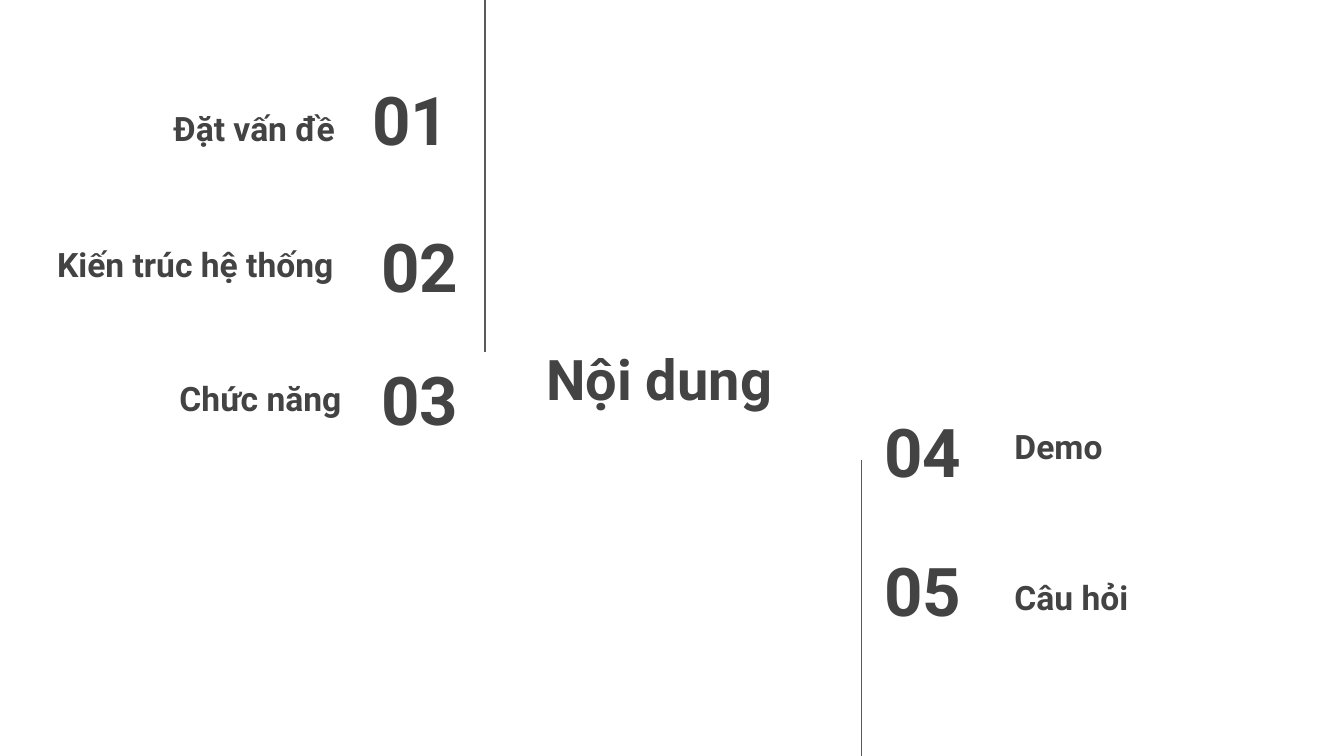
from dataclasses import dataclass

import pptx
import pptx.dml.color
import pptx.enum.shapes
import pptx.enum.text
import pptx.slide
import pptx.util
from lxml import etree
from pptx.oxml.ns import qn

Inches = pptx.util.Inches
Align = pptx.enum.text.PP_ALIGN
Anchor = pptx.enum.text.MSO_ANCHOR

TEXT_COLOR = pptx.dml.color.RGBColor(0x43, 0x43, 0x43)
RULE_COLOR = pptx.dml.color.RGBColor(0x59, 0x59, 0x59)
FONT = "Roboto"
TITLE_SIZE, NUMBER_SIZE, LABEL_SIZE = 30, 36, 18
PAGE_WIDTH = 10
PAGE_HEIGHT = PAGE_WIDTH * 9 / 16
ROW_HEIGHT = 0.63


@dataclass(frozen=True)
class Label:
    text: str
    left: float
    top: float
    width: float
    size: int
    align: Align
    anchor: Anchor = Anchor.MIDDLE
    height: float = ROW_HEIGHT


@dataclass(frozen=True)
class Rule:
    x: float
    top: float
    bottom: float


TITLE = Label("Nội dung", 3.61, 2.3, 2.59, TITLE_SIZE, Align.CENTER, height=1.03)

LEFT_ITEMS = [
    Label("01", 2.23, 0.57, 1.21, NUMBER_SIZE, Align.RIGHT),
    Label("Đặt vấn đề", 0.43, 0.57, 2.16, LABEL_SIZE, Align.RIGHT, Anchor.BOTTOM),
    Label("02", 2.3, 1.66, 1.21, NUMBER_SIZE, Align.RIGHT),
    Label("Kiến trúc hệ thống", -0.22, 1.65, 2.8, LABEL_SIZE, Align.RIGHT),
    Label("03", 2.3, 2.65, 1.21, NUMBER_SIZE, Align.RIGHT),
    Label("Chức năng", 0.48, 2.65, 2.16, LABEL_SIZE, Align.RIGHT),
]

RIGHT_ITEMS = [
    Label("04", 6.48, 3.04, 1.17, NUMBER_SIZE, Align.LEFT),
    Label("Demo", 7.45, 2.94, 2.16, LABEL_SIZE, Align.LEFT, Anchor.BOTTOM),
    Label("05", 6.48, 4.07, 1.17, NUMBER_SIZE, Align.LEFT),
    Label("Câu hỏi", 7.45, 4.06, 2.16, LABEL_SIZE, Align.LEFT, Anchor.BOTTOM),
]

RULES = [Rule(3.61, 0, 2.62), Rule(6.41, 3.42, 5.64)]


def draw_label(page: pptx.slide.Slide, label: Label) -> None:
    box = page.shapes.add_textbox(
        Inches(label.left), Inches(label.top), Inches(label.width), Inches(label.height)
    )
    frame = box.text_frame
    frame.word_wrap = True
    frame.vertical_anchor = label.anchor
    frame.margin_left = frame.margin_right = Inches(0.1)
    frame.margin_top = frame.margin_bottom = Inches(0.1)
    frame.text = label.text
    para = frame.paragraphs[0]
    para.alignment = label.align
    span = para.runs[0]
    span.font.name = FONT
    span.font.size = pptx.util.Pt(label.size)
    span.font.bold = True
    span.font.color.rgb = TEXT_COLOR


def draw_rule(page: pptx.slide.Slide, rule: Rule) -> None:
    line = page.shapes.add_connector(
        pptx.enum.shapes.MSO_CONNECTOR.STRAIGHT,
        Inches(rule.x), Inches(rule.top), Inches(rule.x), Inches(rule.bottom),
    )
    line.line.color.rgb = RULE_COLOR
    line.line.width = pptx.util.Pt(0.75)
    etree.SubElement(line._element.spPr, qn("a:effectLst"))


def main() -> None:
    deck = pptx.Presentation()
    deck.slide_width = Inches(PAGE_WIDTH)
    deck.slide_height = Inches(PAGE_HEIGHT)
    page = deck.slides.add_slide(deck.slide_layouts[6])

    # Title and numbered contents
    for label in [TITLE, *LEFT_ITEMS, *RIGHT_ITEMS]:
        draw_label(page, label)

    # Vertical rules beside the two columns
    for rule in RULES:
        draw_rule(page, rule)

    deck.save("out.pptx")


if __name__ == "__main__":
    main()
